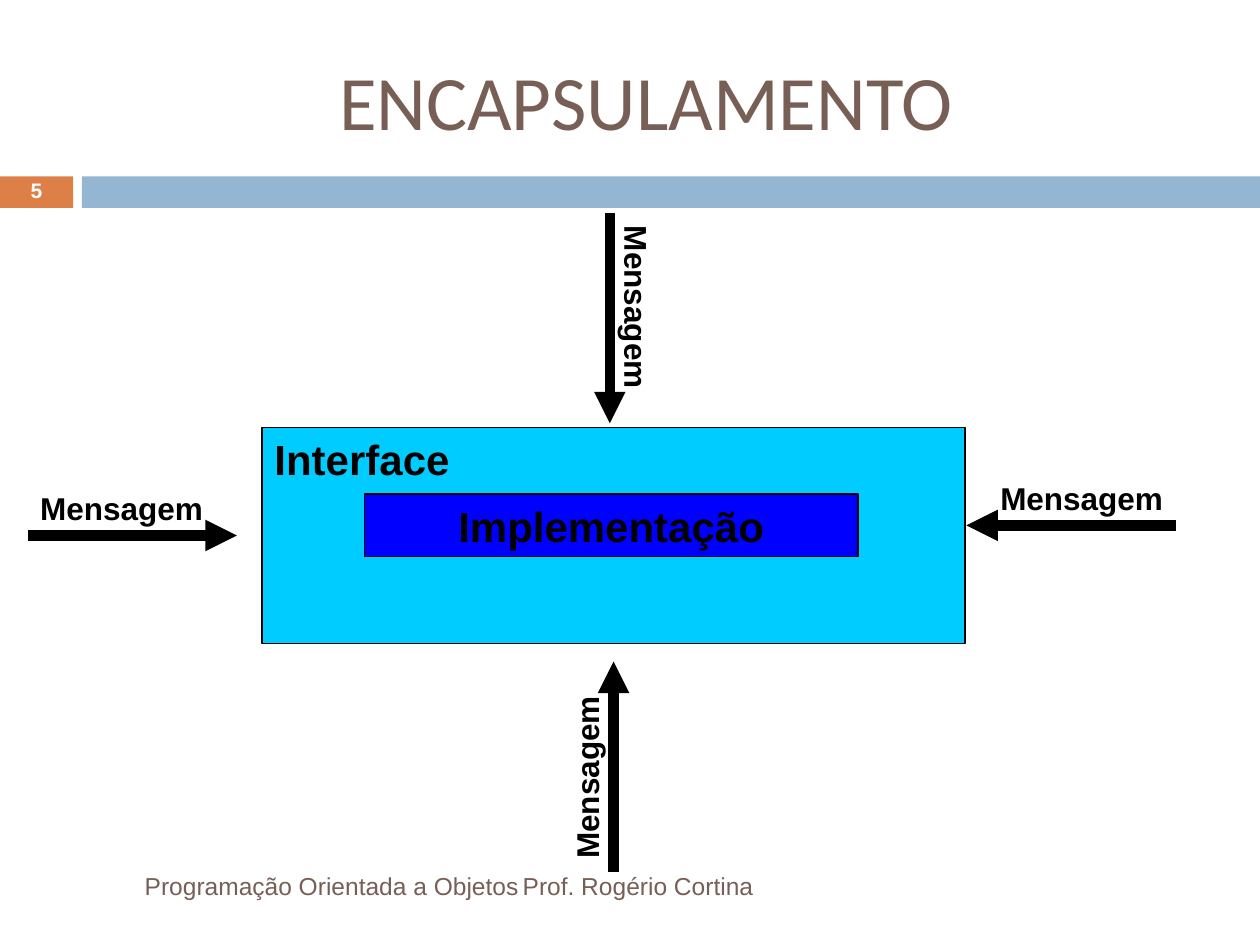
from dataclasses import dataclass

from lxml import etree
from pptx import Presentation
from pptx.dml.color import RGBColor
from pptx.enum.shapes import MSO_CONNECTOR, MSO_SHAPE
from pptx.enum.text import MSO_ANCHOR, MSO_AUTO_SIZE, PP_ALIGN
from pptx.oxml.ns import qn
from pptx.shapes.autoshape import Shape
from pptx.slide import Slide
from pptx.util import Inches, Pt

RECTANGLE = MSO_SHAPE.RECTANGLE
STRAIGHT = MSO_CONNECTOR.STRAIGHT
LEFT, CENTER = PP_ALIGN.LEFT, PP_ALIGN.CENTER
TOP, MIDDLE = MSO_ANCHOR.TOP, MSO_ANCHOR.MIDDLE
NO_AUTO_SIZE = MSO_AUTO_SIZE.NONE


@dataclass(frozen=True)
class Theme:
    heading_font: str = "Calibri"
    body_font: str = "Arial"
    brown: str = "775F55"
    orange: str = "DD8047"
    bar_blue: str = "94B6D2"
    cyan: str = "00CCFF"
    blue: str = "0000FF"
    black: str = "000000"
    white: str = "FFFFFF"
    title_size: int = 44
    block_size: int = 24
    message_size: int = 18
    footer_size: int = 14
    number_size: int = 12
    outline_width: float = 0.75
    arrow_width: int = 6


@dataclass(frozen=True)
class Box:
    left: float
    top: float
    width: float
    height: float

    def lengths(self) -> tuple[int, int, int, int]:
        return (Inches(self.left), Inches(self.top),
                Inches(self.width), Inches(self.height))


@dataclass(frozen=True)
class Block:
    box: Box
    fill: str
    text: str = ""
    alignment: PP_ALIGN = LEFT


@dataclass(frozen=True)
class Message:
    label_left: float
    label_top: float
    rotation: int
    start: tuple[float, float]
    end: tuple[float, float]


THEME = Theme()
TITLE_BOX = Box(0.67, 0.25, 8.92, 1.08)
FOOTER_BOX = Box(1.05, 6.83, 5.55, 0.4)
NUMBER_BOX = Box(0, 1.39, 0.58, 0.27)
FOOTER_TAB = 3.51
LABEL_WIDTH, LABEL_HEIGHT = 1.49, 0.4

BARS = [
    Block(Box(0, 1.4, 0.58, 0.25), THEME.orange),
    Block(Box(0.65, 1.4, 9.35, 0.25), THEME.bar_blue),
]
BLOCKS = [
    Block(Box(2.08, 3.39, 5.58, 1.72), THEME.cyan, "Interface"),
    Block(Box(2.89, 3.92, 3.92, 0.5), THEME.blue, "Implementação", CENTER),
]
MESSAGES = [
    Message(0.22, 3.83, 0, (0.22, 4.25), (1.88, 4.25)),
    Message(4.31, 2.24, 90, (4.84, 1.69), (4.84, 3.36)),
    Message(7.84, 3.75, 0, (9.33, 4.17), (7.67, 4.17)),
    Message(3.91, 5.97, 270, (4.87, 6.92), (4.87, 5.25)),
]


def write_text(shape: Shape, text: str, size: int, color: str,
               alignment: PP_ALIGN = LEFT, anchor: MSO_ANCHOR = TOP,
               bold: bool = True, wrap: bool = True,
               font_name: str = THEME.body_font) -> None:
    text_frame = shape.text_frame
    text_frame.text = text
    text_frame.auto_size = NO_AUTO_SIZE
    text_frame.word_wrap = wrap
    text_frame.vertical_anchor = anchor
    paragraph = text_frame.paragraphs[0]
    paragraph.alignment = alignment
    for run in paragraph.runs:
        run.font.name = font_name
        run.font.size = Pt(size)
        run.font.bold = bold
        run.font.color.rgb = RGBColor.from_string(color)


def add_block(slide: Slide, block: Block) -> None:
    shape = slide.shapes.add_shape(RECTANGLE, *block.box.lengths())
    shape.shadow.inherit = False
    shape.fill.solid()
    shape.fill.fore_color.rgb = RGBColor.from_string(block.fill)
    if block.text:
        shape.line.color.rgb = RGBColor.from_string(THEME.black)
        shape.line.width = Pt(THEME.outline_width)
        write_text(shape, block.text, THEME.block_size, THEME.black,
                   block.alignment)
    else:
        shape.line.fill.background()


def add_title(slide: Slide) -> None:
    title = slide.shapes.title
    title.left, title.top, title.width, title.height = TITLE_BOX.lengths()
    write_text(title, "ENCAPSULAMENTO", THEME.title_size, THEME.brown,
               CENTER, MIDDLE, bold=False, font_name=THEME.heading_font)


def add_footer(slide: Slide) -> None:
    footer = slide.shapes.add_textbox(*FOOTER_BOX.lengths())
    paragraph = footer.text_frame.paragraphs[0]
    properties = paragraph._p.get_or_add_pPr()
    tab_list = etree.SubElement(properties, qn("a:tabLst"))
    etree.SubElement(tab_list, qn("a:tab"), pos=str(Inches(FOOTER_TAB)), algn="l")
    write_text(footer, "Programação Orientada a Objetos\tProf. Rogério Cortina",
               THEME.footer_size, THEME.brown, anchor=MIDDLE, bold=False)


def add_slide_number(slide: Slide) -> None:
    number = slide.shapes.add_textbox(*NUMBER_BOX.lengths())
    write_text(number, "5", THEME.number_size, THEME.white, CENTER, MIDDLE)
    number.text_frame.paragraphs[0].line_spacing = 0.8


def add_message(slide: Slide, message: Message) -> None:
    label_box = Box(message.label_left, message.label_top,
                    LABEL_WIDTH, LABEL_HEIGHT)
    label = slide.shapes.add_textbox(*label_box.lengths())
    label.rotation = message.rotation
    write_text(label, "Mensagem", THEME.message_size, THEME.black, wrap=False)

    points = [Inches(value) for value in message.start + message.end]
    arrow = slide.shapes.add_connector(STRAIGHT, *points)
    arrow.line.color.rgb = RGBColor.from_string(THEME.black)
    arrow.line.width = Pt(THEME.arrow_width)
    etree.SubElement(arrow.line._get_or_add_ln(), qn("a:tailEnd"), type="triangle")
    etree.SubElement(arrow._element.spPr, qn("a:effectLst"))


def main() -> None:
    presentation = Presentation()
    presentation.slide_width = Inches(10)
    presentation.slide_height = Inches(7.5)
    slide = presentation.slides.add_slide(presentation.slide_layouts[5])
    for bar in BARS:
        add_block(slide, bar)
    add_title(slide)
    add_footer(slide)
    add_slide_number(slide)
    for block in BLOCKS:
        add_block(slide, block)
    for message in MESSAGES:
        add_message(slide, message)
    presentation.save("out.pptx")


if __name__ == "__main__":
    main()
